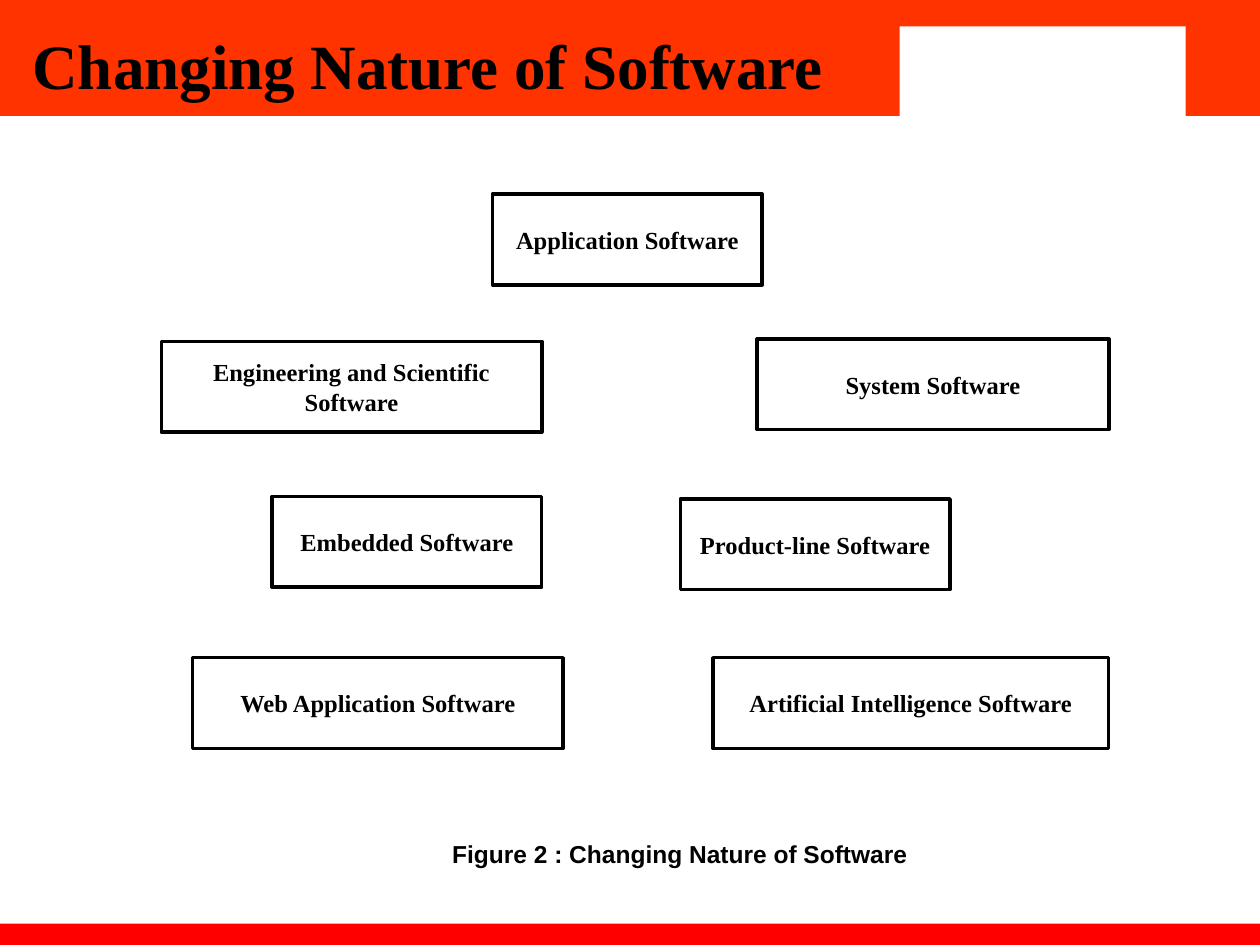
from typing import NamedTuple

import pptx
import pptx.dml.color
import pptx.enum.shapes
import pptx.enum.text
import pptx.util

Inches = pptx.util.Inches
Pt = pptx.util.Pt
RGBColor = pptx.dml.color.RGBColor

BLACK = RGBColor(0x00, 0x00, 0x00)
WHITE = RGBColor(0xFF, 0xFF, 0xFF)
ORANGE = RGBColor(0xFF, 0x33, 0x00)
RED = RGBColor(0xFF, 0x00, 0x00)
SERIF = "Times New Roman"
SANS = "Arial"
BOX_HEIGHT = 0.72


class Band(NamedTuple):
    left: float
    top: float
    width: float
    height: float
    color: RGBColor


class SoftwareBox(NamedTuple):
    label: str
    left: float
    top: float
    width: float


class Caption(NamedTuple):
    text: str
    left: float
    top: float
    width: float
    height: float
    font_name: str
    size: int


BANDS = [
    Band(0, 0, 10, 0.92, ORANGE),
    Band(0, 7.33, 10, 0.22, RED),
    Band(6.72, 0, 3.28, 0.92, ORANGE),
    Band(7.14, 0.21, 2.27, 0.75, WHITE),
]

SOFTWARE_BOXES = [
    SoftwareBox("Application Software", 3.91, 1.54, 2.14),
    SoftwareBox("Engineering and Scientific Software", 1.28, 2.71, 3.02),
    SoftwareBox("System Software", 6.01, 2.69, 2.79),
    SoftwareBox("Embedded Software", 2.16, 3.94, 2.14),
    SoftwareBox("Product-line Software", 5.4, 3.96, 2.14),
    SoftwareBox("Web Application Software", 1.53, 5.22, 2.94),
    SoftwareBox("Artificial Intelligence Software", 5.66, 5.22, 3.14),
]

CAPTIONS = [
    Caption("Changing Nature of Software", 0.16, 0.16, 7.16, 0.71, SERIF, 36),
    Caption("Figure 2 : Changing Nature of Software", 3.49, 6.61, 3.83, 0.34, SANS, 14),
]


def write_text(text_frame, text: str, font_name: str, size: int, alignment) -> None:
    text_frame.word_wrap = True
    paragraph = text_frame.paragraphs[0]
    paragraph.text = text
    paragraph.alignment = alignment
    paragraph.font.name = font_name
    paragraph.font.size = Pt(size)
    paragraph.font.bold = True
    paragraph.font.color.rgb = BLACK


def draw_band(slide, band: Band):
    shape = slide.shapes.add_shape(
        pptx.enum.shapes.MSO_SHAPE.RECTANGLE,
        Inches(band.left), Inches(band.top), Inches(band.width), Inches(band.height),
    )
    shape.shadow.inherit = False
    shape.fill.solid()
    shape.fill.fore_color.rgb = band.color
    shape.line.fill.background()
    return shape


def draw_software_box(slide, box: SoftwareBox) -> None:
    shape = draw_band(slide, Band(box.left, box.top, box.width, BOX_HEIGHT, WHITE))
    shape.line.color.rgb = BLACK
    shape.line.width = Pt(2)
    shape.text_frame.vertical_anchor = pptx.enum.text.MSO_ANCHOR.MIDDLE
    write_text(shape.text_frame, box.label, SERIF, 14, pptx.enum.text.PP_ALIGN.CENTER)


def draw_caption(slide, caption: Caption) -> None:
    text_box = slide.shapes.add_textbox(
        Inches(caption.left), Inches(caption.top),
        Inches(caption.width), Inches(caption.height),
    )
    write_text(text_box.text_frame, caption.text, caption.font_name, caption.size,
               pptx.enum.text.PP_ALIGN.LEFT)
    text_box.text_frame.auto_size = pptx.enum.text.MSO_AUTO_SIZE.SHAPE_TO_FIT_TEXT


def main() -> None:
    presentation = pptx.Presentation()
    presentation.slide_width = Inches(10)
    presentation.slide_height = Inches(7.5)
    slide = presentation.slides.add_slide(presentation.slide_layouts[6])
    for band in BANDS:
        draw_band(slide, band)
    for box in SOFTWARE_BOXES:
        draw_software_box(slide, box)
    for caption in CAPTIONS:
        draw_caption(slide, caption)
    presentation.save("out.pptx")


if __name__ == "__main__":
    main()
